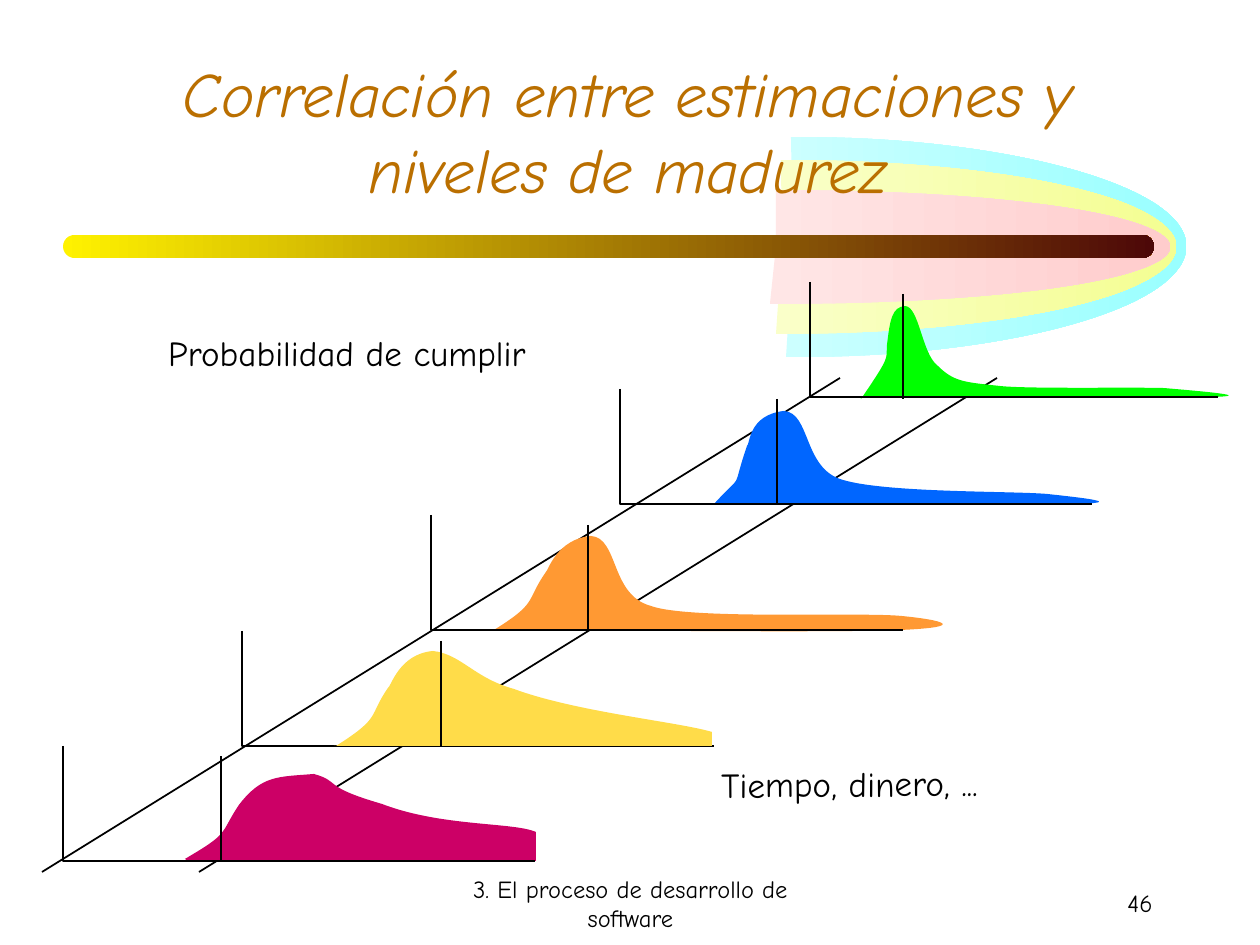
from lxml import etree
from pptx import Presentation
from pptx.dml.color import RGBColor
from pptx.enum.shapes import MSO_CONNECTOR, MSO_SHAPE
from pptx.enum.text import MSO_ANCHOR, PP_ALIGN
from pptx.oxml.ns import qn
from pptx.util import Pt

CENTER, RIGHT = PP_ALIGN.CENTER, PP_ALIGN.RIGHT
TOP, MIDDLE = MSO_ANCHOR.TOP, MSO_ANCHOR.MIDDLE
STRAIGHT, ROUND_RECT = MSO_CONNECTOR.STRAIGHT, MSO_SHAPE.ROUNDED_RECTANGLE

EMU_PER_PX = 914400 / 126
FONT = "Comic Neue"
CURVE_STEPS = 20
AXIS_HEIGHT, MARKER_HEIGHT = 115, 105

BLACK = RGBColor(0, 0, 0)
TITLE_BROWN = RGBColor(0xBA, 0x6F, 0x00)
BAR_YELLOW = RGBColor(0xFF, 0xF2, 0x00)
BAR_DARK = RGBColor(0x4D, 0x08, 0x08)
CYAN, PALE_CYAN = RGBColor(0x99, 0xFF, 0xFF), RGBColor(0xCC, 0xFF, 0xFF)
LIME, PALE_LIME = RGBColor(0xF4, 0xFE, 0x92), RGBColor(0xFA, 0xFF, 0xC9)
PINK, PALE_PINK = RGBColor(0xFF, 0xCC, 0xCC), RGBColor(0xFF, 0xE6, 0xE6)
BLUE = RGBColor(0x00, 0x66, 0xFF)
GREEN = RGBColor(0x00, 0xFF, 0x00)
MAGENTA = RGBColor(0xCC, 0x00, 0x66)
ORANGE = RGBColor(0xFF, 0x99, 0x33)
YELLOW = RGBColor(0xFF, 0xDC, 0x49)

# Outlines: a start point, then cubic segments (6 numbers) or lines (2 numbers)
COMET = [
    (PALE_CYAN, CYAN, [
        (791, 137), (932, 136, 1063, 158, 1134, 192), (1205, 226, 1203, 268, 1133, 302),
        (1062, 336, 931, 358, 786, 357), (793, 247)]),
    (PALE_LIME, LIME, [
        (781, 160), (924, 160, 1053, 176, 1124, 203), (1194, 231, 1194, 263, 1123, 291),
        (1052, 318, 921, 334, 776, 334), (782, 247)]),
    (PALE_PINK, PINK, [
        (776, 190), (917, 190, 1047, 200, 1118, 218), (1188, 236, 1188, 258, 1118, 276),
        (1047, 294, 916, 304, 770, 304), (776, 247)]),
]

# Per level: colour, axis corner, axis width, marker foot, curve over axis, outline
LEVELS = [
    (BLUE, (620, 504), 472, (777, 504), False, [
        (714, 504), (746, 469, 730, 496, 747, 446), (750, 445, 748, 415, 784, 411),
        (811, 413, 803, 469, 843, 480), (887, 493, 1011, 491, 1047, 494),
        (1084, 498, 1129, 503, 1072, 504), (1017, 505, 786, 504, 711, 504)]),
    (GREEN, (810, 397), 408, (903, 399), False, [
        (861, 399), (891, 355, 886, 360, 887, 345), (890, 320, 892, 307, 905, 306),
        (919, 306, 922, 353, 937, 365), (954, 382, 964, 382, 1000, 386),
        (1029, 389, 1129, 387, 1164, 388), (1198, 391, 1260, 396, 1210, 397), (861, 397)]),
    (MAGENTA, (63, 861), 472, (221, 861), False, [
        (185, 859), (231, 832, 219, 835, 239, 805), (262, 775, 278, 777, 314, 774),
        (342, 782, 320, 786, 382, 804), (442, 827, 513, 822, 536, 832),
        (536, 861), (188, 861)]),
    (ORANGE, (431, 630), 472, (588, 630), False, [
        (494, 630), (539, 602, 525, 602, 546, 572), (548, 571, 557, 539, 591, 536),
        (619, 538, 610, 595, 651, 606), (689, 620, 859, 612, 901, 616),
        (943, 620, 969, 627, 901, 630), (835, 633, 580, 630, 495, 630)]),
    (YELLOW, (242, 746), 472, (441, 746), True, [
        (336, 746), (382, 717, 368, 717, 388, 688), (391, 687, 399, 654, 433, 651),
        (461, 654, 474, 678, 514, 689), (576, 712, 679, 722, 712, 732),
        (712, 746), (334, 746)]),
]


def px(n):
    return round(n * EMU_PER_PX)


def flatten(outline):
    """Sample the cubic segments, to find the true extent of an outline."""
    points = [outline[0]]
    for seg in outline[1:]:
        if len(seg) == 2:
            points.append(seg)
            continue
        ctrl = [points[-1], seg[:2], seg[2:4], seg[4:]]
        for i in range(1, CURVE_STEPS + 1):
            t = i / CURVE_STEPS
            weights = ((1 - t) ** 3, 3 * t * (1 - t) ** 2, 3 * t * t * (1 - t), t ** 3)
            points.append(tuple(sum(w * c[k] for w, c in zip(weights, ctrl)) for k in (0, 1)))
    return points


def add_freeform(s, outline, closed=True):
    points = [(px(x), px(y)) for x, y in flatten(outline)]
    builder = s.shapes.build_freeform(*points[0], scale=1.0)
    builder.add_line_segments(points[1:], close=closed)
    sp = builder.convert_to_shape()
    sp.shadow.inherit = False
    # Write the outline with real cubic segments
    path = next(sp._element.iter(qn("a:path")))
    for step in list(path):
        path.remove(step)
    for i, seg in enumerate(outline):
        tag = "a:moveTo" if i == 0 else "a:lnTo" if len(seg) == 2 else "a:cubicBezTo"
        step = etree.SubElement(path, qn(tag))
        for x, y in zip(seg[::2], seg[1::2]):
            etree.SubElement(step, qn("a:pt"), x=str(px(x) - sp.left), y=str(px(y) - sp.top))
    if closed:
        etree.SubElement(path, qn("a:close"))
    return sp


def fill_gradient(sp, left_color, right_color):
    sp.fill.gradient()
    sp.fill.gradient_angle = 0
    for stop, color in zip(sp.fill.gradient_stops, (left_color, right_color)):
        stop.color.rgb = color
    sp.line.fill.background()


def style_line(sp):
    sp.line.color.rgb = BLACK
    sp.line.width = Pt(1)


def add_line(s, x1, y1, x2, y2):
    line = s.shapes.add_connector(STRAIGHT, px(x1), px(y1), px(x2), px(y2))
    style_line(line)
    etree.SubElement(line._element.spPr, qn("a:effectLst"))


def add_curve(s, color, outline):
    sp = add_freeform(s, outline)
    sp.fill.solid()
    sp.fill.fore_color.rgb = color
    sp.line.fill.background()


def add_axes(s, corner, width):
    x, y = corner
    sp = add_freeform(s, [(x, y - AXIS_HEIGHT), (x, y), (x + width, y)], closed=False)
    sp.fill.background()
    style_line(sp)


def add_level(s, color, corner, width, foot, curve_over_axis, outline):
    if curve_over_axis:
        add_axes(s, corner, width)
        add_curve(s, color, outline)
    else:
        add_curve(s, color, outline)
        add_axes(s, corner, width)
    x, y = foot
    add_line(s, x, y - MARKER_HEIGHT, x, y)


def add_text(s, box, text, size, align=CENTER, anchor=MIDDLE, color=BLACK,
             italic=False, wrap=True, rotation=0):
    tb = s.shapes.add_textbox(*map(px, box))
    tb.rotation = rotation
    tf = tb.text_frame
    tf.word_wrap = wrap
    tf.vertical_anchor = anchor
    p = tf.paragraphs[0]
    p.alignment = align
    r = p.add_run()
    r.text = text
    r.font.name = FONT
    r.font.size = Pt(size)
    r.font.italic = italic
    r.font.color.rgb = color


def main():
    prs = Presentation()
    prs.slide_width, prs.slide_height = px(1260), px(945)
    s = prs.slides.add_slide(prs.slide_layouts[6])

    # Comet and gradient bar
    for left_color, right_color, outline in COMET:
        fill_gradient(add_freeform(s, outline), left_color, right_color)
    bar = s.shapes.add_shape(ROUND_RECT, px(63), px(235), px(1091), px(23))
    bar.adjustments[0] = 0.5
    bar.shadow.inherit = False
    fill_gradient(bar, BAR_YELLOW, BAR_DARK)

    # Depth lines
    for x in (42, 199):
        add_line(s, x, 872, x + 798, 378)

    # Title
    add_text(s, (92, 51, 1071, 158), "Correlación entre estimaciones y niveles de madurez",
             36, color=TITLE_BROWN, italic=True)

    # Distribution for each maturity level
    for level in LEVELS:
        add_level(s, *level)

    # Axis labels
    add_text(s, (116, 325, 462, 336), "Probabilidad de cumplir", 20, anchor=TOP, wrap=False)
    add_text(s, (556, 756, 587, 84), "Tiempo, dinero, ...", 20, anchor=TOP, wrap=False,
             rotation=-0.5)

    # Footer
    add_text(s, (431, 872, 399, 63), "3. El proceso de desarrollo de software", 14)
    add_text(s, (903, 871, 262, 63), "46", 14, RIGHT)

    prs.save("out.pptx")


if __name__ == "__main__":
    main()
